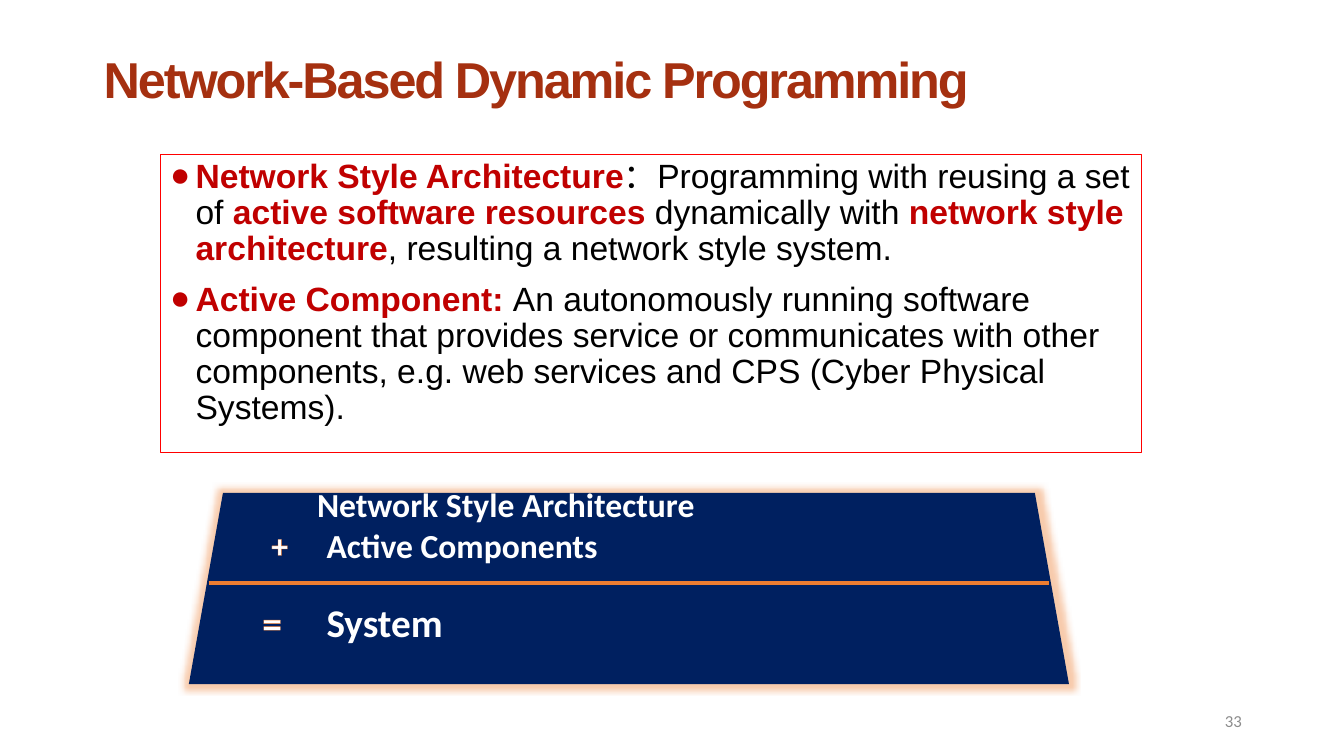
from dataclasses import dataclass

from lxml import etree
from pptx import Presentation
from pptx import util as u
from pptx.dml import color
from pptx.enum import shapes, text
from pptx.oxml import ns


@dataclass(frozen=True)
class Theme:
    title: str = "A53010"
    accent: str = "C00000"
    body: str = "000000"
    frame: str = "FF0000"
    panel: str = "002060"
    orange: str = "ED7D31"
    white: str = "FFFFFF"
    grey: str = "8C8C8C"
    title_size: int = 36
    text_size: int = 24
    result_size: int = 28
    number_size: int = 12


T = Theme()
rgb = color.RGBColor.from_string


def add_xml(parent, tag, **attrs):
    return etree.SubElement(parent, ns.qn(tag), {k: str(v) for k, v in attrs.items()})


def add_run(p, words, hue, size, name="Arial", bold=False):
    r = p.add_run()
    r.text = words
    for key, value in {"size": u.Pt(size), "name": name, "bold": bold}.items():
        setattr(r.font, key, value)
    r.font.color.rgb = rgb(hue)
    return r


prs = Presentation()
prs.slide_width, prs.slide_height = u.Cm(33.87), u.Cm(19.05)
s = prs.slides.add_slide(prs.slide_layouts[5])

# Title
title = s.shapes.title
place = {"left": 2.36, "top": 1.04, "width": 30.56, "height": 2.08}
for key, value in place.items():
    setattr(title, key, u.Cm(value))
tf = title.text_frame
tf.auto_size = text.MSO_AUTO_SIZE.NONE
tf.vertical_anchor = text.MSO_ANCHOR.MIDDLE
p = tf.paragraphs[0]
p.alignment, p.line_spacing = text.PP_ALIGN.LEFT, 0.9
r = add_run(p, "Network-Based Dynamic Programming", T.title, T.title_size, bold=True)
r.font._element.set("spc", "-150")

# Framed definitions; every other run is emphasised
definitions = [
    ["Network Style Architecture", "：Programming with reusing a set of ",
     "active software resources ", "dynamically with ",
     "network style architecture", ", resulting a network style system."],
    ["Active Component: ",
     "An autonomously running software component that provides service or "
     "communicates with other components, e.g. web services and CPS "
     "(Cyber Physical Systems)."],
]
sp = s.shapes.add_textbox(u.Cm(4.04), u.Cm(3.89), u.Cm(24.74), u.Cm(7.52))
sp.line.color.rgb, sp.line.width = rgb(T.frame), u.Pt(0.75)
tf = sp.text_frame
tf.word_wrap = True
for i, runs in enumerate(definitions):
    p = tf.add_paragraph() if i else tf.paragraphs[0]
    pPr = p._p.get_or_add_pPr()
    pPr.set("marL", str(u.Cm(0.64)))
    pPr.set("indent", str(u.Cm(-0.71)))
    add_xml(pPr, "a:buFont", typeface="Arial")
    add_xml(pPr, "a:buChar", char="●")
    p.line_spacing = 0.9
    p.space_before = u.Pt(10 if i else 0)
    for j, words in enumerate(runs):
        strong = j % 2 == 0
        add_run(p, words, T.accent if strong else T.body, T.text_size, bold=strong)

# Glowing panel in perspective
corners = [(5.62, 12.42), (26.08, 12.42), (26.94, 17.24), (4.76, 17.24)]
points = [(u.Cm(x), u.Cm(y)) for x, y in corners]
outline = s.shapes.build_freeform(*points[0], scale=1.0)
outline.add_line_segments(points[1:], close=True)
panel = outline.convert_to_shape()
panel.fill.solid()
panel.fill.fore_color.rgb = rgb(T.panel)
panel.line.fill.background()
panel.shadow.inherit = False
effects = panel._element.spPr.find(ns.qn("a:effectLst"))
glow = add_xml(effects, "a:glow", rad=u.Pt(8))
add_xml(add_xml(glow, "a:srgbClr", val=T.orange), "a:alpha", val=40000)

# Sum line
rule = s.shapes.add_connector(shapes.MSO_CONNECTOR.STRAIGHT,
                              u.Cm(5.26), u.Cm(14.69), u.Cm(26.44), u.Cm(14.69))
rule.line.color.rgb, rule.line.width = rgb(T.orange), u.Pt(3)
add_xml(rule._element.spPr, "a:effectLst")

# Equation: sign, its tab stop, term, its tab stop, size, space before
equation = [
    ("", None, "Network Style Architecture", 3.23, T.text_size, 0),
    ("+", 2.08, "Active Components", 3.47, T.text_size, 0),
    ("=", 1.85, "System", 3.47, T.result_size, 24),
]
sp = s.shapes.add_textbox(u.Cm(4.76), u.Cm(12.2), u.Cm(22.18), u.Cm(4.2))
tf = sp.text_frame
tf.word_wrap = True
tf.margin_left = tf.margin_right = tf.margin_top = tf.margin_bottom = 0
for i, (sign, sign_at, term, term_at, size, before) in enumerate(equation):
    p = tf.add_paragraph() if i else tf.paragraphs[0]
    tabs = add_xml(p._p.get_or_add_pPr(), "a:tabLst")
    for stop in filter(None, (sign_at, term_at)):
        add_xml(tabs, "a:tab", pos=u.Cm(stop), algn="l")
    p.space_before = u.Pt(before)
    if sign:
        r = add_run(p, "\t" + sign, T.white, size, "Calibri", True)
        edge = etree.Element(ns.qn("a:ln"), {"w": str(u.Pt(1.75))})
        add_xml(add_xml(edge, "a:solidFill"), "a:srgbClr", val=T.orange)
        r.font._element.insert(0, edge)
    add_run(p, "\t" + term, T.white, size, "Calibri", True)

# Slide number
sp = s.shapes.add_textbox(u.Cm(23.93), u.Cm(17.65), u.Cm(7.62), u.Cm(1.02))
tf = sp.text_frame
tf.word_wrap = True
tf.vertical_anchor = text.MSO_ANCHOR.MIDDLE
p = tf.paragraphs[0]
p.alignment = text.PP_ALIGN.RIGHT
add_run(p, "33", T.grey, T.number_size, "Calibri")

prs.save("out.pptx")
